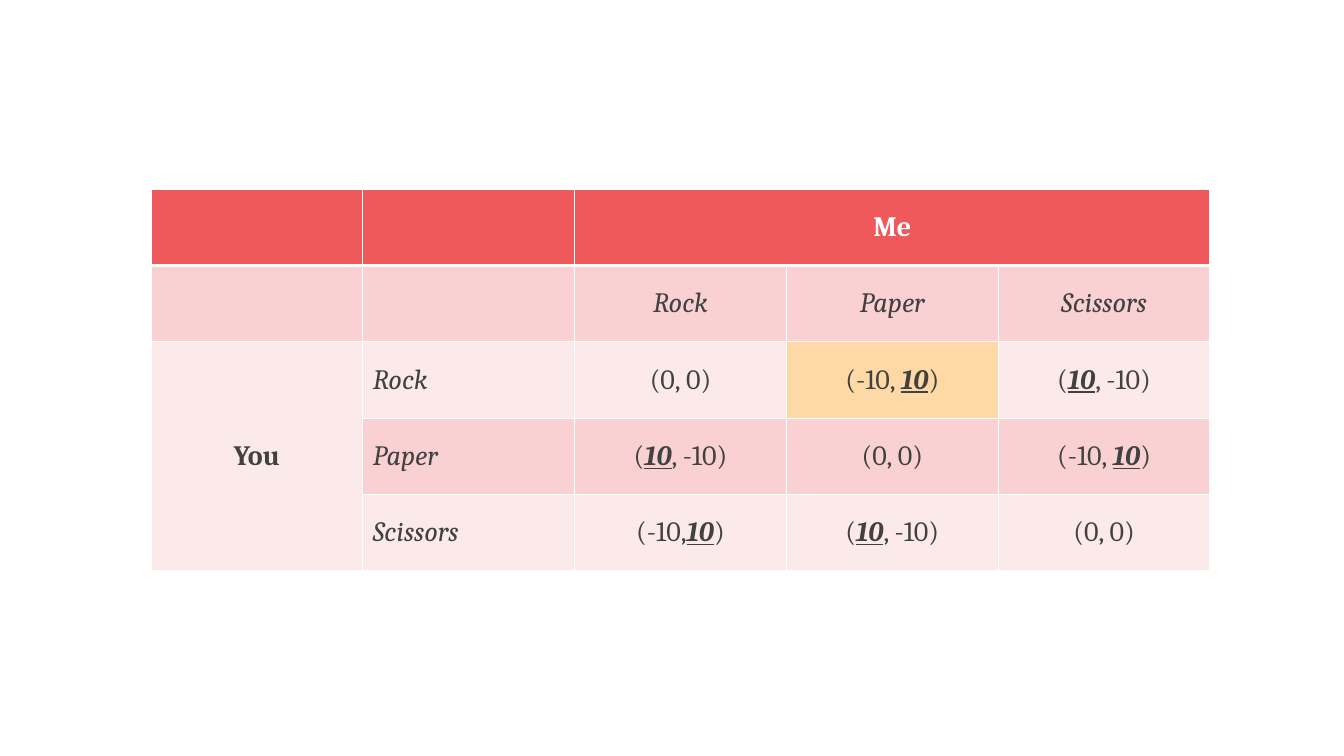
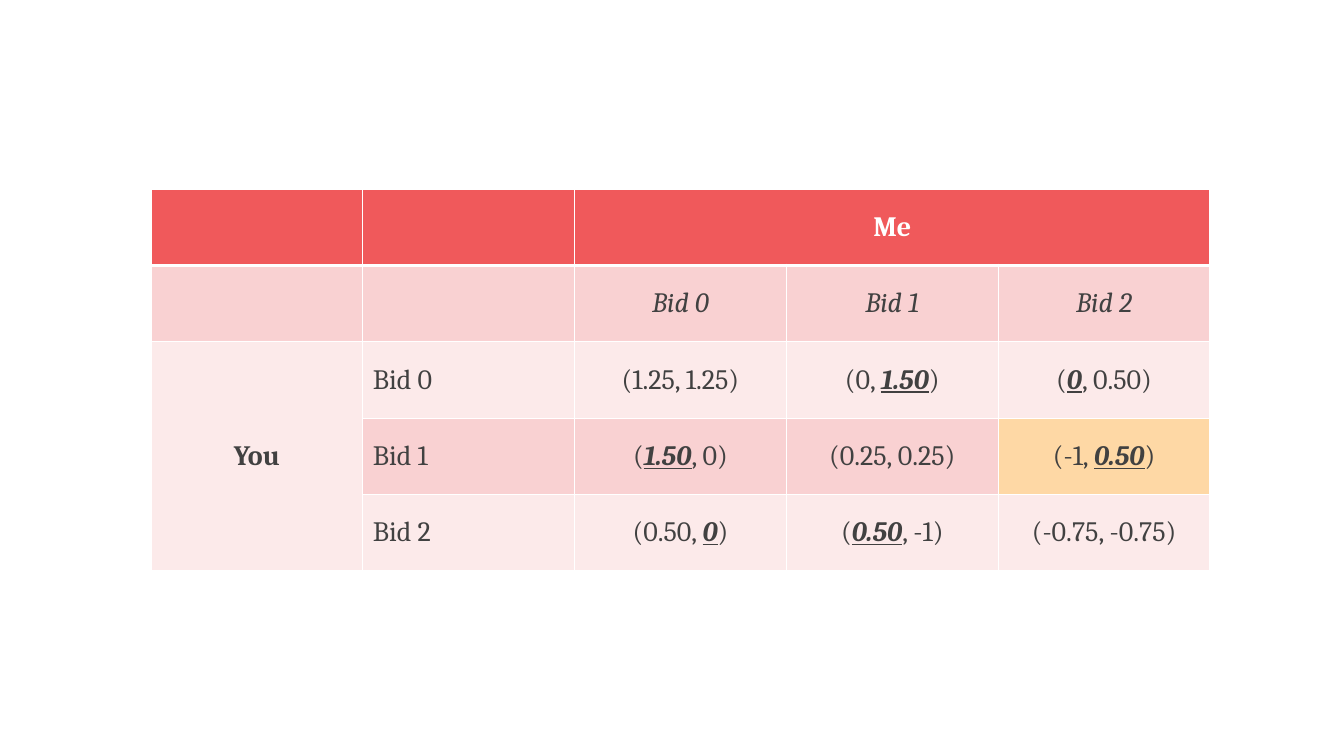
from lxml.etree import SubElement
from pptx import Presentation
from pptx.dml.color import RGBColor
from pptx.enum.text import MSO_ANCHOR as Anchor, PP_ALIGN as Align
from pptx.oxml.ns import qn
from pptx.util import Pt

PX = 914400 / 100.8
SLIDE_BOX = (1344, 756)
MATRIX_BOX = (151, 189, 1059, 382)

FONT = "Cambria"
TEXT_SIZE = 20
WHITE, INK = "FFFFFF", "414141"
HEADER, ODD_BAND, EVEN_BAND = "F0595B", "F9D1D2", "FCEAEA"
HIGHLIGHT = "FED8A5"

# Best responses are marked with asterisks.
ROCK_PAPER_SCISSORS = dict(
    moves=["Rock", "Paper", "Scissors"],
    payoffs=[
        ["(0, 0)", "(-10, *10*)", "(*10*, -10)"],
        ["(*10*, -10)", "(0, 0)", "(-10, *10*)"],
        ["(-10,*10*)", "(*10*, -10)", "(0, 0)"],
    ],
    chosen=(0, 1),
    italic_rows=True,
)
BIDDING = dict(
    moves=["Bid 0", "Bid 1", "Bid 2"],
    payoffs=[
        ["(1.25, 1.25)", "(0, *1.50*)", "(*0*, 0.50)"],
        ["(*1.50*, 0)", "(0.25, 0.25)", "(-1, *0.50*)"],
        ["(0.50, *0*)", "(*0.50*, -1)", "(-0.75, -0.75)"],
    ],
    chosen=(1, 2),
    italic_rows=False,
)


def px(length):
    return round(length * PX)


def color(hex_string):
    return RGBColor.from_string(hex_string)


def add_border(cell, side, points):
    line = SubElement(cell._tc.get_or_add_tcPr(), qn(f"a:ln{side}"), w=str(Pt(points)))
    fill = SubElement(line, qn("a:solidFill"))
    SubElement(fill, qn("a:srgbClr"), val=WHITE)


def style_cell(cell, row):
    """Draw the white grid, with a thick rule below the header, and the band."""
    for side in "LRTB":
        under_header = (row, side) in ((0, "B"), (1, "T"))
        add_border(cell, side, 3 if under_header else 1)
    cell.fill.solid()
    band = ODD_BAND if row % 2 else EVEN_BAND
    cell.fill.fore_color.rgb = color(band if row else HEADER)
    cell.vertical_anchor = Anchor.MIDDLE


def write(cell, text, ink=INK, align=Align.CENTER, bold=False, italic=False):
    paragraph = cell.text_frame.paragraphs[0]
    paragraph.alignment = align
    font = paragraph.font
    font.name, font.size = FONT, Pt(TEXT_SIZE)
    font.color.rgb = color(ink)
    font.bold, font.italic = bold, italic
    for index, part in enumerate(text.split("*")):
        run = paragraph.add_run()
        run.text = part
        if index % 2:
            run.font.bold = run.font.italic = run.font.underline = True


def add_payoff_matrix(slide, box, moves, payoffs, chosen, italic_rows):
    left, top, width, height = map(px, box)
    size = len(moves) + 2
    matrix = slide.shapes.add_table(size, size, left, top, width, height).table
    matrix.horz_banding = False
    for row in range(size):
        matrix.rows[row].height = height // size
        matrix.columns[row].width = width // size
        for column in range(size):
            style_cell(matrix.cell(row, column), row)

    # Players
    me, you = matrix.cell(0, 2), matrix.cell(2, 0)
    me.merge(matrix.cell(0, size - 1))
    you.merge(matrix.cell(size - 1, 0))
    write(me, "Me", ink=WHITE, bold=True)
    write(you, "You", bold=True)

    # Moves and payoffs
    for index, (move, row_payoffs) in enumerate(zip(moves, payoffs), start=2):
        write(matrix.cell(1, index), move, italic=True)
        write(matrix.cell(index, 1), move, align=Align.LEFT, italic=italic_rows)
        for column, payoff in enumerate(row_payoffs, start=2):
            write(matrix.cell(index, column), payoff)

    # Highlighted outcome
    row, column = chosen
    matrix.cell(row + 2, column + 2).fill.fore_color.rgb = color(HIGHLIGHT)


def main():
    deck = Presentation()
    deck.slide_width, deck.slide_height = map(px, SLIDE_BOX)
    blank = deck.slide_layouts[6]
    for game in (ROCK_PAPER_SCISSORS, BIDDING):
        add_payoff_matrix(deck.slides.add_slide(blank), MATRIX_BOX, **game)
    deck.save("out.pptx")


if __name__ == "__main__":
    main()
